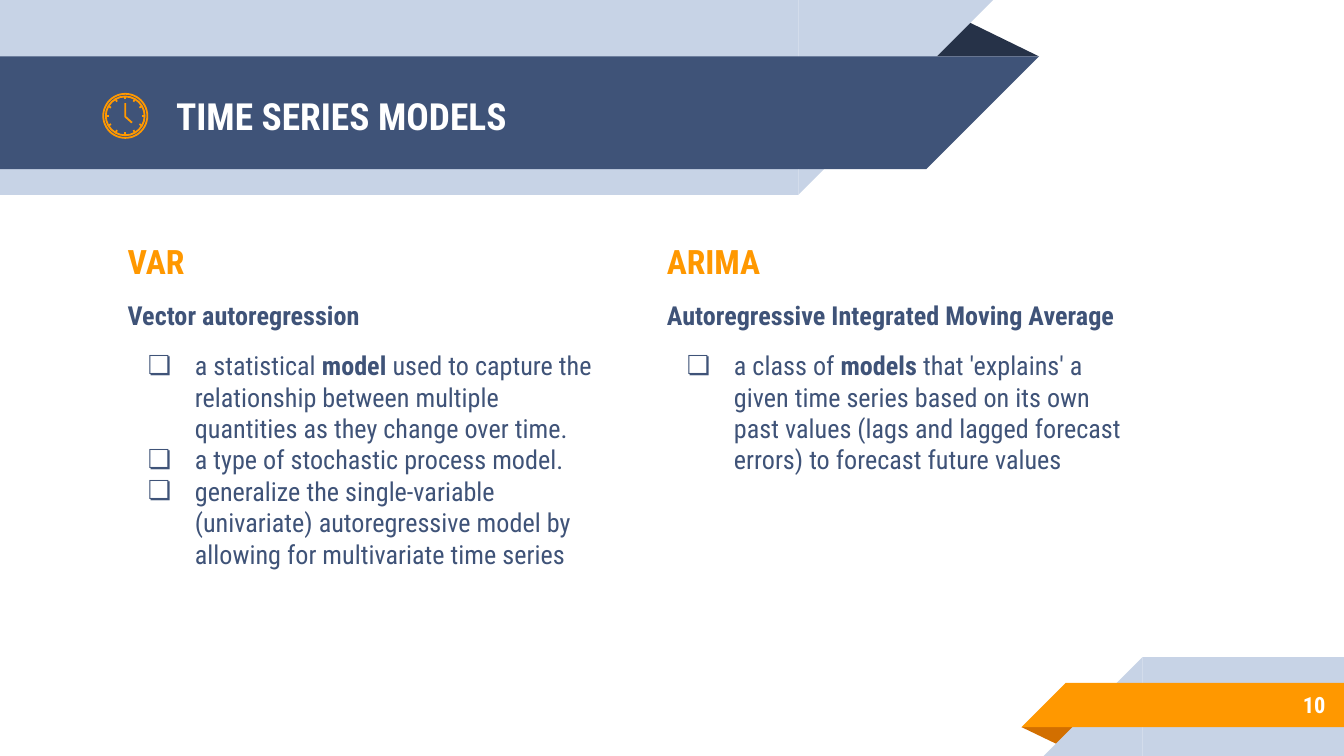
from math import cos, pi, sin

from lxml.etree import SubElement
from pptx import Presentation
from pptx.dml.color import RGBColor
from pptx.enum.shapes import MSO_CONNECTOR as Connector, MSO_SHAPE as Preset
from pptx.enum.text import MSO_ANCHOR as Anchor, MSO_AUTO_SIZE as AutoSize, PP_ALIGN as Align
from pptx.oxml.ns import qn
from pptx.util import Pt

NAVY, PALE, SHADE = "3F5378", "C7D3E6", "263248"
ORANGE, RUST, WHITE = "FF9800", "D26F00", "FFFFFF"

VAR_POINTS = [
    "a statistical **model** used to capture the relationship between multiple "
    "quantities as they change over time.",
    "a type of stochastic process model.",
    "generalize the single-variable (univariate) autoregressive model by "
    "allowing for multivariate time series",
]
ARIMA_POINTS = [
    "a class of **models** that 'explains' a given time series based on its own "
    "past values (lags and lagged forecast errors) to forecast future values",
]


def color(hex_text):
    return RGBColor.from_string(hex_text)


def set_all(target, values):
    for name, value in values.items():
        setattr(target, name, value)


class SlideBuilder:
    font_name = "Roboto Condensed"
    line_width = Pt(0.96)
    inset = Pt(7.2)

    def __init__(self, slide):
        self.slide = slide
        self.shapes = slide.shapes

    def block(self, preset, left, top, width, height, fill, rotation=0):
        shape = self.shapes.add_shape(preset, Pt(left), Pt(top), Pt(width), Pt(height))
        shape.shadow.inherit = False
        shape.rotation = rotation
        shape.fill.solid()
        shape.fill.fore_color.rgb = color(fill)
        shape.line.fill.background()
        return shape

    def fold(self, left, top, width, height, fill, rotation=0):
        shape = self.block(Preset.ISOSCELES_TRIANGLE, left, top, width, height, fill, rotation)
        shape.adjustments[0] = 0.324

    def ribbon(self, left, top, width, height, fill, points_right):
        """Draw a band whose slanted end lies outside the given box."""
        self.block(Preset.RECTANGLE, left, top, width, height, fill)
        tip_left, rotation = (left + width, 90) if points_right else (left - height, 270)
        self.block(Preset.RIGHT_TRIANGLE, tip_left, top, height, height, fill, rotation)

    def outline(self, shape):
        shape.line.color.rgb = color(ORANGE)
        shape.line.width = self.line_width

    def ring(self, x, y, radius):
        shape = self.shapes.add_shape(
            Preset.OVAL, Pt(x - radius), Pt(y - radius), Pt(2 * radius), Pt(2 * radius))
        shape.shadow.inherit = False
        shape.fill.background()
        self.outline(shape)

    def tick(self, x, y, inner, outer, angle):
        ends = [Pt(value) for radius in (inner, outer)
                for value in (x + radius * cos(angle), y + radius * sin(angle))]
        connector = self.shapes.add_connector(Connector.STRAIGHT, *ends)
        self.outline(connector)
        SubElement(connector._element.spPr, qn("a:effectLst"))

    def clock(self, x, y):
        for radius in (11.8, 10.4):
            self.ring(x, y, radius)
        for hour in range(12):
            self.tick(x, y, 8.8, 10.4, hour * pi / 6)
        hands = self.shapes.build_freeform(Pt(x), Pt(y - 6.8))
        hands.add_line_segments([(Pt(x), Pt(y + 0.4)), (Pt(x + 3.6), Pt(y + 3.6))], close=False)
        shape = hands.convert_to_shape()
        shape.shadow.inherit = False
        shape.fill.background()
        self.outline(shape)

    def place(self, shape, left, top, width, height, anchor):
        set_all(shape, dict(left=Pt(left), top=Pt(top), width=Pt(width), height=Pt(height)))
        frame = shape.text_frame
        margins = {f"margin_{side}": self.inset for side in ("left", "top", "right", "bottom")}
        set_all(frame, dict(margins, word_wrap=True, auto_size=AutoSize.NONE,
                            vertical_anchor=anchor))
        return frame

    def fill_paragraph(self, paragraph, text, size, fill, bold=False, align=Align.LEFT, before=0):
        """Fill a paragraph; parts between ** marks are bold."""
        set_all(paragraph, dict(alignment=align, space_before=Pt(before), space_after=Pt(0)))
        for index, part in enumerate(text.split("**")):
            run = paragraph.add_run()
            run.text = part
            set_all(run.font, dict(name=self.font_name, size=Pt(size),
                                   bold=bold or index % 2 == 1))
            run.font.color.rgb = color(fill)

    def bullet(self, paragraph, mark):
        """Set the bullet mark, or remove the inherited one when mark is None."""
        properties = paragraph._p.get_or_add_pPr()
        properties.set("marL", str(Pt(36) if mark else 0))
        properties.set("indent", str(Pt(-25.2) if mark else 0))
        if mark:
            bullet_color = SubElement(properties, qn("a:buClr"))
            SubElement(bullet_color, qn("a:srgbClr"), val=NAVY)
            SubElement(properties, qn("a:buFont"), typeface=self.font_name)
            SubElement(properties, qn("a:buChar"), char=mark)
        else:
            SubElement(properties, qn("a:buNone"))

    def title(self, text, *box):
        frame = self.place(self.shapes.title, *box, Anchor.MIDDLE)
        self.fill_paragraph(frame.paragraphs[0], text, 20, WHITE, bold=True)

    def column(self, index, left, heading, subheading, points):
        frame = self.place(self.slide.placeholders[index], left, 121.7, 265.7, 214.6, Anchor.TOP)
        paragraph = frame.paragraphs[0]
        self.fill_paragraph(paragraph, heading, 18, ORANGE, bold=True)
        self.bullet(paragraph, None)
        paragraph = frame.add_paragraph()
        self.fill_paragraph(paragraph, subheading, 14, NAVY, bold=True, before=10)
        self.bullet(paragraph, None)
        for number, point in enumerate(points):
            paragraph = frame.add_paragraph()
            self.fill_paragraph(paragraph, point, 14, NAVY, before=0 if number else 10)
            self.bullet(paragraph, "❏")

    def page_number(self, text, *box):
        frame = self.place(self.shapes.add_textbox(0, 0, 0, 0), *box, Anchor.MIDDLE)
        self.fill_paragraph(frame.paragraphs[0], text, 12, WHITE, bold=True, align=Align.RIGHT)


def main():
    presentation = Presentation()
    set_all(presentation, dict(slide_width=Pt(720), slide_height=Pt(405)))
    builder = SlideBuilder(presentation.slides.add_slide(presentation.slide_layouts[3]))

    builder.fold(495.4, 10, 61.2, 20.2, SHADE)
    builder.ribbon(0, 0, 427.7, 104.4, PALE, points_right=True)
    builder.ribbon(0, 30.2, 496.1, 60.5, NAVY, points_right=True)
    builder.fold(547.2, 389.5, 31, 10.1, RUST, rotation=180)
    builder.ribbon(612, 352.1, 108, 52.9, PALE, points_right=False)
    builder.ribbon(571, 365.8, 149, 23.8, ORANGE, points_right=False)

    # The template's placeholders lie behind the ribbons until moved to the front.
    for placeholder in list(builder.slide.placeholders):
        builder.shapes._spTree.append(placeholder._element)

    builder.title("TIME SERIES MODELS", 87.1, 31.7, 414, 60.5)
    builder.column(1, 61.2, "VAR", "Vector autoregression", VAR_POINTS)
    builder.column(2, 350, "ARIMA", "Autoregressive Integrated Moving Average", ARIMA_POINTS)
    builder.page_number("10", 599.8, 365, 117.4, 25.2)
    builder.clock(67.1, 62.1)

    presentation.save("out.pptx")


if __name__ == "__main__":
    main()
